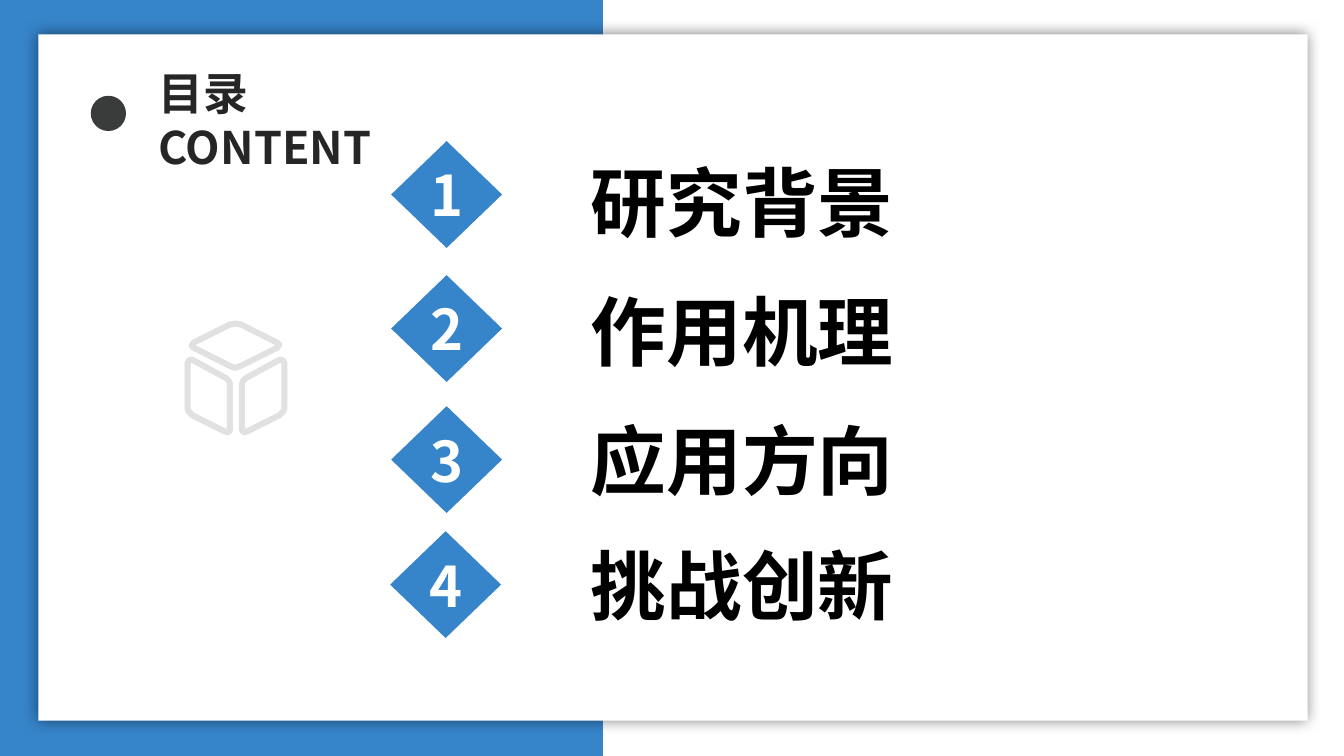
from lxml import etree
from pptx import Presentation
from pptx.dml.color import RGBColor
from pptx.enum import shapes, text
from pptx.oxml import ns
from pptx.util import Inches, Pt

COLORS = {"blue": "3684CA", "white": "FFFFFF", "dot": "3A3B3B",
          "title": "262626", "item": "000000", "icon": "BFBFBF"}
FONT = "Noto Sans CJK SC"


def add_shape(kind, x, y, w, h, color):
    sp = s.shapes.add_shape(kind, Inches(x), Inches(y), Inches(w), Inches(h))
    sp.shadow.inherit = False
    sp.fill.solid()
    sp.fill.fore_color.rgb = RGBColor.from_string(COLORS[color])
    sp.line.fill.background()
    return sp


def add_run(p, words, size, color):
    r = p.add_run()
    r.text = words
    r.font.size = Pt(size)
    r.font.bold = True
    r.font.name = FONT
    r.font.color.rgb = RGBColor.from_string(COLORS[color])
    etree.SubElement(r.font._element, ns.qn("a:ea"), typeface=FONT)


prs = Presentation()
prs.slide_width, prs.slide_height = Inches(13.33), Inches(7.5)
s = prs.slides.add_slide(prs.slide_layouts[5])
MSO = shapes.MSO_SHAPE

add_shape(MSO.RECTANGLE, 0, 0, 5.98, 7.5, "blue")
panel = add_shape(MSO.RECTANGLE, 0.38, 0.34, 12.59, 6.81, "white")
effects = panel._element.spPr.find(ns.qn("a:effectLst"))
glow = etree.SubElement(effects, ns.qn("a:outerShdw"), blurRad=str(Pt(10)),
                        dist="0", dir="0", algn="ctr", rotWithShape="0")
black = etree.SubElement(glow, ns.qn("a:srgbClr"), val="000000")
etree.SubElement(black, ns.qn("a:alpha"), val="50000")

title = s.shapes.title
title.left, title.top = Inches(1.47), Inches(0.6)
title.width, title.height = Inches(2.49), Inches(1.18)
title.element.getparent().append(title.element)
tf = title.text_frame
tf.word_wrap = True
tf.auto_size = text.MSO_AUTO_SIZE.NONE
tf.vertical_anchor = text.MSO_ANCHOR.TOP
for p, words in zip((tf.paragraphs[0], tf.add_paragraph()), ("目录", "CONTENT")):
    p.alignment = text.PP_ALIGN.LEFT
    p.line_spacing = 1.0
    p.space_before = Pt(0)
    add_run(p, words, 32, "title")

add_shape(MSO.OVAL, 0.9, 0.95, 0.35, 0.35, "dot")

top_face = [(1.9, 3.43), (1.92, 3.4), (2.28, 3.22), (2.34, 3.21), (2.39, 3.22),
            (2.75, 3.4), (2.77, 3.42), (2.75, 3.45), (2.39, 3.63), (2.33, 3.65),
            (2.28, 3.63), (1.92, 3.45)]
left_face = [(1.86, 3.6), (1.88, 3.57), (1.91, 3.57), (2.24, 3.75), (2.27, 3.78),
             (2.28, 3.81), (2.28, 4.27), (2.26, 4.29), (2.23, 4.28), (1.91, 4.12),
             (1.87, 4.08), (1.86, 4.05)]
right_face = [(4.68 - x, y) for x, y in left_face]
for face in (top_face, left_face, right_face):
    points = [(Inches(x), Inches(y)) for x, y in face]
    fb = s.shapes.build_freeform(*points[0])
    fb.add_line_segments(points[1:], close=True)
    sp = fb.convert_to_shape()
    sp.shadow.inherit = False
    sp.fill.background()
    sp.line.width = Pt(4.3)
    sp.line.color.rgb = RGBColor.from_string(COLORS["icon"])
    ln = sp.line._ln
    etree.SubElement(ln.find(".//" + ns.qn("a:srgbClr")), ns.qn("a:alpha"), val="45000")
    etree.SubElement(ln, ns.qn("a:round"))

items = [("研究背景", 3.88, 1.4, 1.5), ("作用机理", 3.88, 2.73, 2.78),
         ("应用方向", 3.88, 4.03, 4.06), ("挑战创新", 3.87, 5.27, 5.3)]
for number, (words, x, diamond_top, words_top) in enumerate(items, 1):
    sp = add_shape(MSO.DIAMOND, x, diamond_top, 1.1, 1.06, "blue")
    tf = sp.text_frame
    tf.word_wrap = False
    tf.margin_left = tf.margin_right = tf.margin_top = tf.margin_bottom = 0
    tf.vertical_anchor = text.MSO_ANCHOR.MIDDLE
    p = tf.paragraphs[0]
    p.alignment = text.PP_ALIGN.CENTER
    add_run(p, str(number), 40, "white")

    tb = s.shapes.add_textbox(Inches(5.28), Inches(words_top), Inches(4.16), Inches(1.01))
    tb.text_frame.word_wrap = True
    p = tb.text_frame.paragraphs[0]
    p.alignment = text.PP_ALIGN.CENTER
    add_run(p, words, 54, "item")

prs.save("out.pptx")
